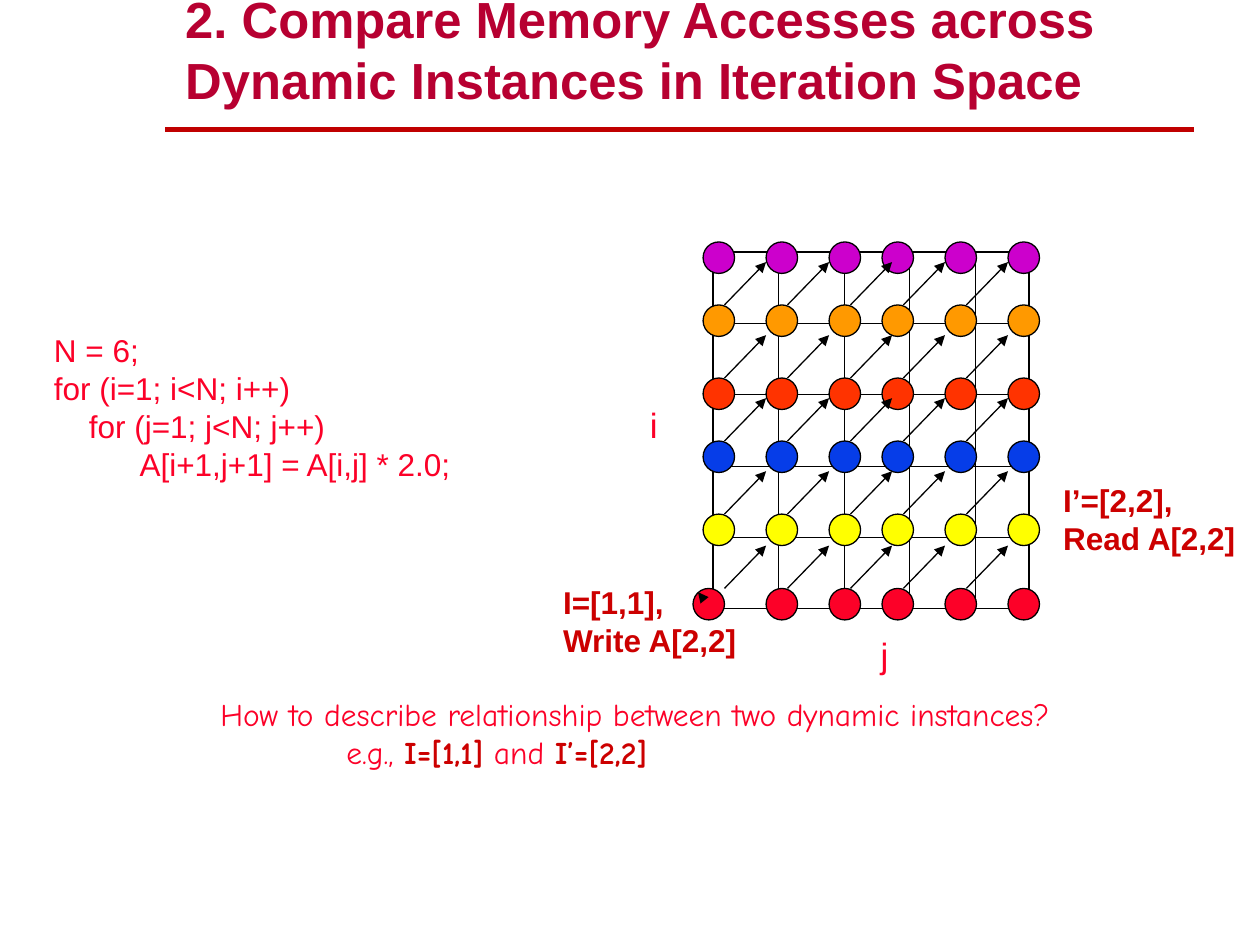
import lxml.etree
import pptx
import pptx.dml.color
import pptx.enum.shapes
import pptx.enum.text
import pptx.oxml.ns
import pptx.util
from pptx.util import Inches

COLORS = {
    "title": "B70031", "text": "FC0128", "strong": "CC0000", "rule": "C00000",
    "black": "000000",
}
ROWS = [(1.92, "CC00CC"), (2.42, "FF9900"), (3, "FF3300"),
        (3.5, "063DE8"), (4.08, "FFFF00"), (4.67, "FC0128")]
COLUMNS = [5.58, 6.08, 6.58, 7, 7.5, 8]


def rgb(value):
    """Turn a hex string into a colour."""
    return pptx.dml.color.RGBColor.from_string(value)


def add_element(parent, tag, **attributes):
    """Append a DrawingML element to its parent."""
    element = lxml.etree.SubElement(parent, pptx.oxml.ns.qn(tag))
    for name, value in attributes.items():
        element.set(name, str(value))
    return element


def add_span(para, words, size, color, bold=False, font="Arial"):
    """Add one formatted run."""
    span = para.add_run()
    span.text = words
    span.font.size = pptx.util.Pt(size)
    span.font.name = font
    span.font.bold = bold
    span.font.color.rgb = rgb(color)


def add_text(page, left, top, width, height, lines, size=18, wrap=False, font="Arial"):
    """Add a text box from lines of (words, colour, bold) runs."""
    box = page.shapes.add_textbox(Inches(left), Inches(top), Inches(width), Inches(height))
    frame = box.text_frame
    frame.word_wrap = wrap
    frame.auto_size = pptx.enum.text.MSO_AUTO_SIZE.SHAPE_TO_FIT_TEXT
    for index, line in enumerate(lines):
        para = frame.add_paragraph() if index else frame.paragraphs[0]
        tabs = add_element(para._p.get_or_add_pPr(), "a:tabLst")
        add_element(tabs, "a:tab", pos=Inches(1), algn="l")
        for words, color, bold in line:
            add_span(para, words, size, COLORS[color], bold, font)


def add_circle(page, left, top, fill):
    """Add the circle of one dynamic instance."""
    circle = page.shapes.add_shape(pptx.enum.shapes.MSO_SHAPE.OVAL, Inches(left), Inches(top),
                                   Inches(0.25), Inches(0.25))
    circle.shadow.inherit = False
    circle.fill.solid()
    circle.fill.fore_color.rgb = rgb(fill)
    circle.line.color.rgb = rgb(COLORS["black"])
    circle.line.width = pptx.util.Pt(0.75)


def add_line(page, start, end, color, weight, arrow=False):
    """Add a straight line, with an arrowhead at its end if asked."""
    line = page.shapes.add_connector(
        pptx.enum.shapes.MSO_CONNECTOR.STRAIGHT, *map(Inches, start + end))
    line.line.color.rgb = rgb(color)
    line.line.width = pptx.util.Pt(weight)
    properties = line._element.spPr
    if arrow:
        add_element(properties.find(pptx.oxml.ns.qn("a:ln")), "a:tailEnd", type="triangle")
    add_element(properties, "a:effectLst")


def add_grid(page, count=5):
    """Add the empty table that rules the iteration space."""
    frame = page.shapes.add_table(count, count, Inches(5.66), Inches(2), Inches(2.5), Inches(2.83))
    table = frame.table
    table.first_row = table.horz_banding = False
    for index, column in enumerate(table.columns):
        column.width = Inches(0.52 if index < count - 1 else 0.43)
    last = count - 1
    for number in range(count * count):
        row, column = divmod(number, count)
        cell = table.cell(row, column)
        outer = {"L": column == 0, "R": column == last, "T": row == 0, "B": row == last}
        for side, is_outer in outer.items():
            border = add_element(cell._tc.get_or_add_tcPr(), "a:ln" + side,
                                 w=pptx.util.Pt(1.08 if is_outer else 0.45))
            add_element(add_element(border, "a:solidFill"), "a:srgbClr", val=COLORS["black"])
        cell.fill.background()


def add_instances(page):
    """Add the circles row by row, then the arrows between instances."""
    for top, fill in ROWS:
        for left in COLUMNS:
            if (left, top) == (COLUMNS[0], ROWS[-1][0]):
                left = 5.5
            add_circle(page, left, top, fill)
    for top, _ in ROWS[1:]:
        for left in COLUMNS[:-1]:
            add_line(page, (left + 0.17, top), (left + 0.5, top - 0.34),
                     COLORS["black"], 0.75, True)
    add_line(page, (5.58, 4.75), (5.54, 4.7), COLORS["black"], 0.75, True)


def set_title(page, words):
    """Place and format the title."""
    title = page.shapes.title
    title.left, title.top = Inches(1.37), Inches(0.25)
    title.width, title.height = Inches(8), Inches(0.67)
    frame = title.text_frame
    frame.word_wrap = True
    frame.auto_size = pptx.enum.text.MSO_AUTO_SIZE.NONE
    frame.vertical_anchor = pptx.enum.text.MSO_ANCHOR.BOTTOM
    para = frame.paragraphs[0]
    para.alignment = pptx.enum.text.PP_ALIGN.LEFT
    add_span(para, words, 29, COLORS["title"], True)


def main():
    """Build the slide and save it."""
    deck = pptx.Presentation()
    deck.slide_width, deck.slide_height = Inches(10), Inches(7.5)
    page = deck.slides.add_slide(deck.slide_layouts[5])
    add_line(page, (1.31, 1.03), (9.48, 1.03), COLORS["rule"], 3)
    set_title(page, "2. Compare Memory Accesses across Dynamic Instances in Iteration Space")
    code = ["N = 6;", "for (i=1; i<N; i++)", "    for (j=1; j<N; j++)",
            "          A[i+1,j+1] = A[i,j] * 2.0;"]
    add_text(page, 0.33, 2.58, 4.67, 1.3, [[(line, "text", False)] for line in code], wrap=True)
    add_grid(page)
    add_text(page, 5.06, 3.15, 0.26, 0.44, [[("i", "text", False)]], size=20)
    add_text(page, 6.89, 4.98, 0.26, 0.44, [[("j", "text", False)]], size=20)
    add_instances(page)
    add_text(page, 4.37, 4.58, 1.59, 0.7,
             [[("I=[1,1],", "strong", True)], [("Write A[2,2]", "strong", True)]])
    add_text(page, 8.34, 3.77, 1.57, 0.7,
             [[("I’=[2,2],", "strong", True)], [("Read A[2,2]", "strong", True)]])
    question = "How to describe relationship between two dynamic instances?"
    add_text(page, 1.65, 5.47, 6.81, 0.7, [
        [(question, "text", False)],
        [("\te.g., ", "text", False), ("I=[1,1]", "strong", True),
         (" and ", "text", False), ("I’=[2,2]", "strong", True)],
    ], font="Comic Neue")
    deck.save("out.pptx")


if __name__ == "__main__":
    main()
